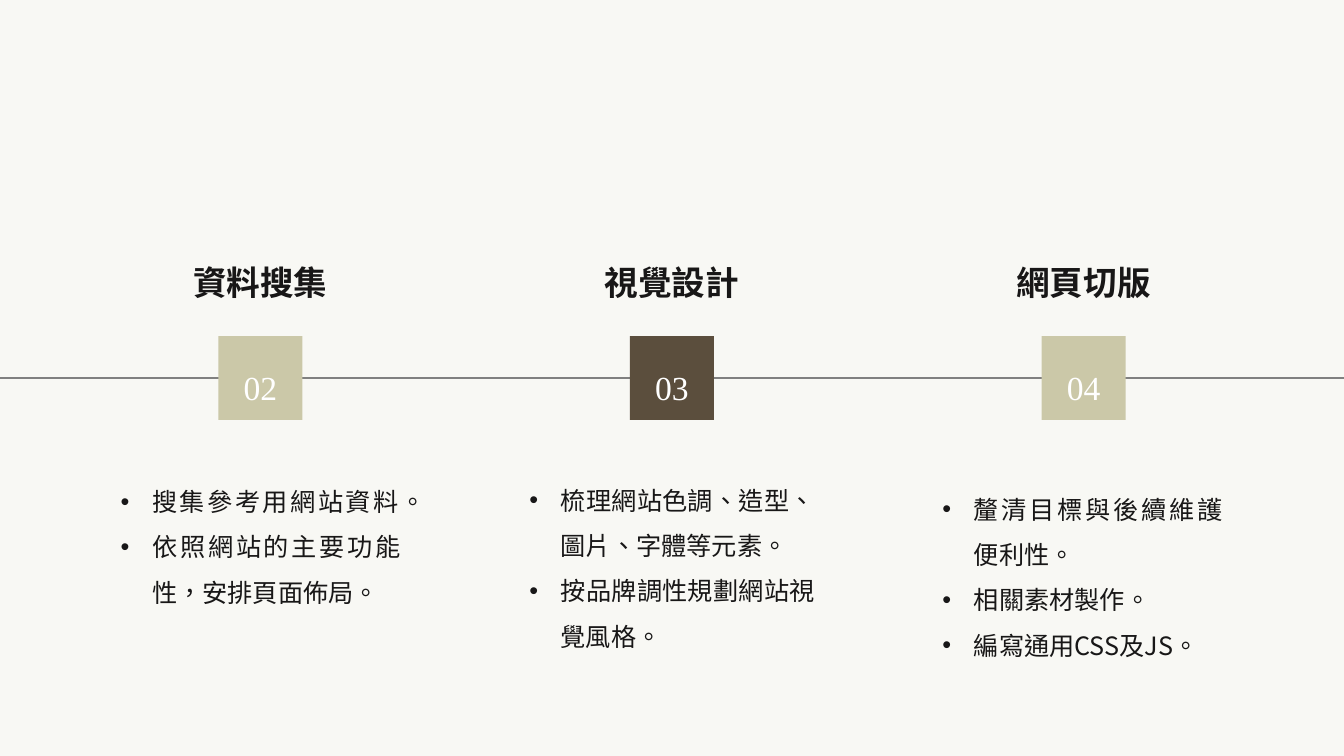
import lxml.etree
import pptx
import pptx.dml.color
import pptx.enum.lang
import pptx.enum.shapes
import pptx.enum.text
import pptx.oxml
import pptx.oxml.ns
import pptx.util

Pt = pptx.util.Pt
qn = pptx.oxml.ns.qn
ALIGN = pptx.enum.text.PP_ALIGN
ANCHOR = pptx.enum.text.MSO_ANCHOR
RECT = pptx.enum.shapes.MSO_SHAPE.RECTANGLE
WIDTH, HEIGHT = 960, 540
SQUARE, PITCH, FIRST_LEFT = 60, 294, 156
SANS, SERIF = "Noto Sans CJK SC", "Times New Roman"
INK = "181717"

STAGES = [
    ("02", "資料搜集", "CBC8A8", (-77, 332.6, 214.6, 105), ANCHOR.MIDDLE,
     ["搜集參考用網站資料。", "依照網站的主要功能性，安排頁面佈局。"]),
    ("03", "視覺設計", "5B4E3D", (-79, 331.2, 218.2, 138.2), ANCHOR.MIDDLE,
     ["梳理網站色調、造型、圖片、字體等元素。", "按品牌調性規劃網站視覺風格。"]),
    ("04", "網頁切版", "CBC8A8", (-78, 338.4, 214.6, 138.2), ANCHOR.TOP,
     ["釐清目標與後續維護便利性。", "相關素材製作。", "編寫通用CSS及JS。"]),
]


def rgb(value):
    return pptx.dml.color.RGBColor.from_string(value)


def add_rect(slide, box, color):
    sp = slide.shapes.add_shape(RECT, *map(Pt, box))
    sp.shadow.inherit = False
    sp.fill.solid()
    sp.fill.fore_color.rgb = rgb(color)
    sp.line.fill.background()
    return sp


def add_text(slide, box, lines, color, font, para, anchor=ANCHOR.TOP, bullet=False):
    tf = slide.shapes.add_textbox(*map(Pt, box)).text_frame
    tf.word_wrap = True
    tf.vertical_anchor = anchor
    for i, line in enumerate(lines):
        p = tf.paragraphs[0] if i == 0 else tf.add_paragraph()
        for name, value in para.items():
            setattr(p, name, value)
        if bullet:
            pPr = p._p.get_or_add_pPr()
            pPr.set("marL", str(Pt(22.5)))
            pPr.set("indent", str(-Pt(22.5)))
            lxml.etree.SubElement(pPr, qn("a:buFont")).set("typeface", "Arial")
            lxml.etree.SubElement(pPr, qn("a:buChar")).set("char", "•")
        r = p.add_run()
        r.text = line
        for name, value in font.items():
            setattr(r.font, name, value)
        r.font.color.rgb = rgb(color)
        r.font.language_id = pptx.enum.lang.MSO_LANGUAGE_ID.TRADITIONAL_CHINESE
        ea = lxml.etree.SubElement(r._r.get_or_add_rPr(), qn("a:ea"))
        ea.set("typeface", font["name"])


def add_background(slide, box):
    for _ in range(2):
        sp = add_rect(slide, box, "F4F4EB")
        clr = next(sp._element.spPr.iter(qn("a:srgbClr")))
        lxml.etree.SubElement(clr, qn("a:alpha")).set("val", "30000")


def add_timeline(slide, left, y, width):
    line = slide.shapes.add_connector(
        pptx.enum.shapes.MSO_CONNECTOR.STRAIGHT, Pt(left), Pt(y), Pt(left + width), Pt(y))
    line.line.color.rgb = rgb("808080")
    line.line.width = Pt(1)
    lxml.etree.SubElement(line._element.spPr, qn("a:effectLst"))


def add_stage(slide, x, y, stage):
    number, title, color, (dx, top, width, height), anchor, points = stage
    centered = {"alignment": ALIGN.CENTER, "line_spacing": Pt(42)}
    body = {"alignment": ALIGN.JUSTIFY, "line_spacing": 1.5}
    add_rect(slide, (x, y, SQUARE, SQUARE), color)
    add_text(slide, (x - 24, y + 5, SQUARE + 48, 45), [number], "FFFFFF",
             {"name": SERIF, "size": Pt(24)}, centered)
    add_text(slide, (x - 36, y - 69.4, SQUARE + 72, 46), [title], INK,
             {"name": SANS, "size": Pt(24), "bold": True}, centered)
    add_text(slide, (x + dx, top, width, height), points, INK,
             {"name": SANS, "size": Pt(18)}, body, anchor, bullet=True)


def main():
    prs = pptx.Presentation()
    prs.slide_width, prs.slide_height = Pt(WIDTH), Pt(HEIGHT)
    s = prs.slides.add_slide(prs.slide_layouts[6])
    add_background(s, (0, 0, WIDTH, HEIGHT))
    add_timeline(s, 0, HEIGHT / 2, WIDTH)
    for i, stage in enumerate(STAGES):
        add_stage(s, FIRST_LEFT + i * PITCH, (HEIGHT - SQUARE) / 2, stage)
    prs.save("out.pptx")


if __name__ == "__main__":
    main()
